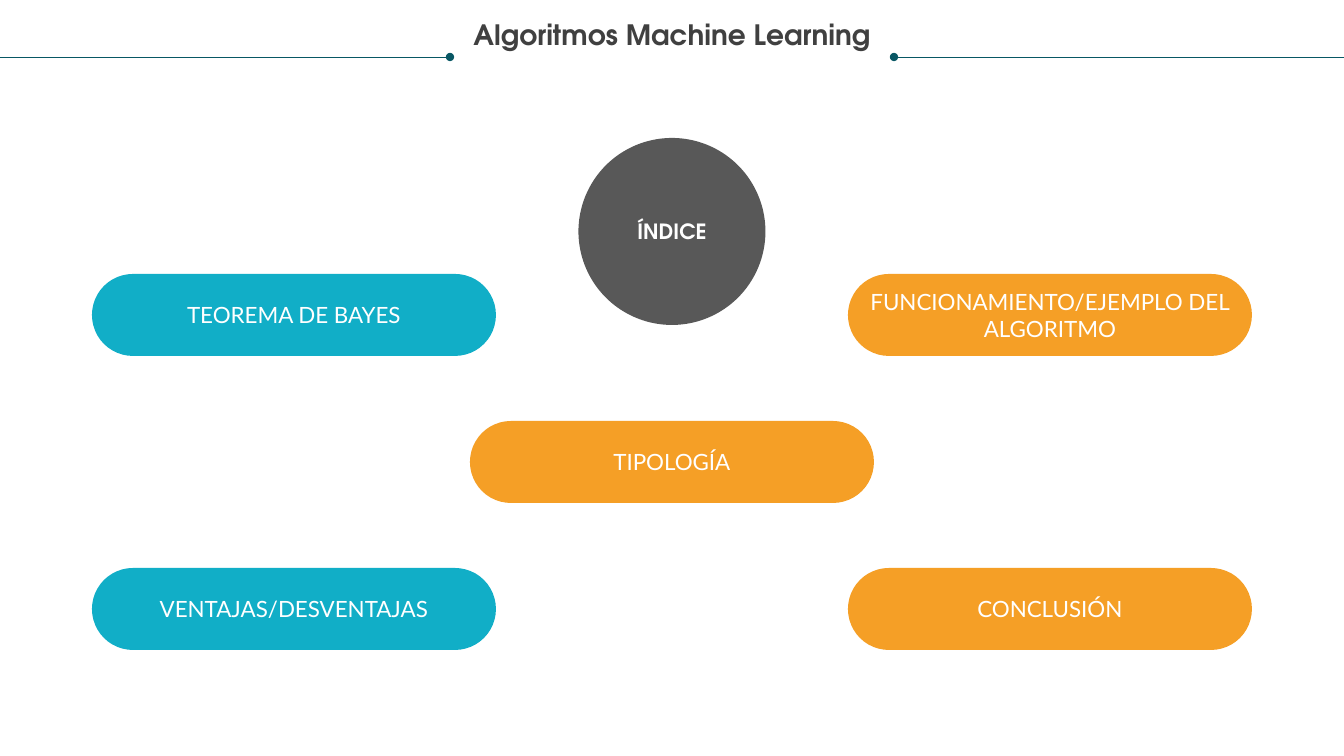
from lxml import etree
from pptx import Presentation
from pptx.dml.color import RGBColor
from pptx.enum.shapes import MSO_CONNECTOR, MSO_SHAPE
from pptx.enum.text import MSO_ANCHOR, MSO_AUTO_SIZE, PP_ALIGN
from pptx.oxml.ns import qn
from pptx.util import Pt

EMU_PER_INCH = 914400
PX_PER_INCH = 100.8
SLIDE_WIDTH, SLIDE_HEIGHT = 1344, 756
TITLE_ONLY_LAYOUT = 5

STRAIGHT = MSO_CONNECTOR.STRAIGHT
OVAL, ROUNDED = MSO_SHAPE.OVAL, MSO_SHAPE.ROUNDED_RECTANGLE
TOP, MIDDLE = MSO_ANCHOR.TOP, MSO_ANCHOR.MIDDLE
NO_AUTOFIT = MSO_AUTO_SIZE.NONE
CENTER = PP_ALIGN.CENTER

TEAL = RGBColor(0x08, 0x57, 0x64)
CYAN = RGBColor(0x11, 0xAE, 0xC7)
ORANGE = RGBColor(0xF5, 0x9F, 0x26)
GRAY = RGBColor(0x58, 0x58, 0x58)
DARK = RGBColor(0x40, 0x40, 0x40)
WHITE = RGBColor(0xFF, 0xFF, 0xFF)

HEADING_FONT, BODY_FONT = "TeX Gyre Adventor", "Lato"

PILL_WIDTH, PILL_HEIGHT = 404, 82
COLUMN_STEP, ROW_STEP = 378, 147
TOPICS = [
    ("FUNCIONAMIENTO/EJEMPLO DEL ALGORITMO", 2, 0, ORANGE),
    ("CONCLUSIÓN", 2, 2, ORANGE),
    ("TEOREMA DE BAYES", 0, 0, CYAN),
    ("TIPOLOGÍA", 1, 1, ORANGE),
    ("VENTAJAS/DESVENTAJAS", 0, 2, CYAN),
]


def px(length):
    """Turn a length in px into EMU."""
    return round(length * EMU_PER_INCH / PX_PER_INCH)


def write(shape, text, font, size, color, bold=False):
    """Write one centred run into a shape and return its paragraph."""
    paragraph = shape.text_frame.paragraphs[0]
    paragraph.alignment = CENTER
    run = paragraph.add_run()
    run.text = text
    run.font.name = font
    run.font.size = Pt(size)
    run.font.bold = bold
    run.font.color.rgb = color
    return paragraph


def add_label(slide, kind, box, fill, text, font, size, bold=False):
    """Add a filled shape with white centred text."""
    shape = slide.shapes.add_shape(kind, *map(px, box))
    shape.shadow.inherit = False
    shape.fill.solid()
    shape.fill.fore_color.rgb = fill
    shape.line.fill.background()
    shape.text_frame.vertical_anchor = MIDDLE
    shape.text_frame.word_wrap = True
    write(shape, text, font, size, WHITE, bold)
    return shape


def add_dotted_rule(slide, edge, dot, y):
    """Draw a thin rule from a slide edge to a round dot."""
    rule = slide.shapes.add_connector(STRAIGHT, px(edge), px(y), px(dot), px(y))
    rule.line.color.rgb = TEAL
    rule.line.width = Pt(0.5)
    line = rule.line._get_or_add_ln()
    etree.SubElement(line, qn("a:tailEnd"), type="oval")
    etree.SubElement(rule._element.spPr, qn("a:effectLst"))


def add_header(slide, left, top, width, height):
    """Place the title between two dotted rules in the header box."""
    rule_y = top + 57
    dot_inset = 450
    title = slide.shapes.title
    title.left, title.top = px(left + 25), px(top + 21)
    title.width, title.height = px(width - 50), px(height - 21)
    frame = title.text_frame
    frame.margin_left = frame.margin_right = 0
    frame.margin_top = frame.margin_bottom = 0
    frame.vertical_anchor = TOP
    frame.word_wrap = True
    frame.auto_size = NO_AUTOFIT
    paragraph = write(title, "Algoritmos Machine Learning", HEADING_FONT, 20, DARK, True)
    paragraph.line_spacing = 0.9
    add_dotted_rule(slide, left, left + dot_inset, rule_y)
    add_dotted_rule(slide, left + width, left + width - dot_inset, rule_y)


def add_index(slide, left, top, width):
    """Place the index circle and the topic pills around it."""
    diameter = 187
    circle = (left + (width - diameter) / 2, top, diameter, diameter)
    add_label(slide, OVAL, circle, GRAY, "ÍNDICE", HEADING_FONT, 15, True)
    first_row = top + 136
    for text, column, row, fill in TOPICS:
        box = (left + column * COLUMN_STEP, first_row + row * ROW_STEP,
               PILL_WIDTH, PILL_HEIGHT)
        pill = add_label(slide, ROUNDED, box, fill, text, BODY_FONT, 16)
        pill.adjustments[0] = 0.5


def main():
    """Build the index slide and save it."""
    presentation = Presentation()
    presentation.slide_width = px(SLIDE_WIDTH)
    presentation.slide_height = px(SLIDE_HEIGHT)
    layout = presentation.slide_layouts[TITLE_ONLY_LAYOUT]
    slide = presentation.slides.add_slide(layout)
    add_header(slide, 0, 0, SLIDE_WIDTH, 82)
    add_index(slide, 92, 138, 2 * COLUMN_STEP + PILL_WIDTH)
    presentation.save("out.pptx")


if __name__ == "__main__":
    main()
